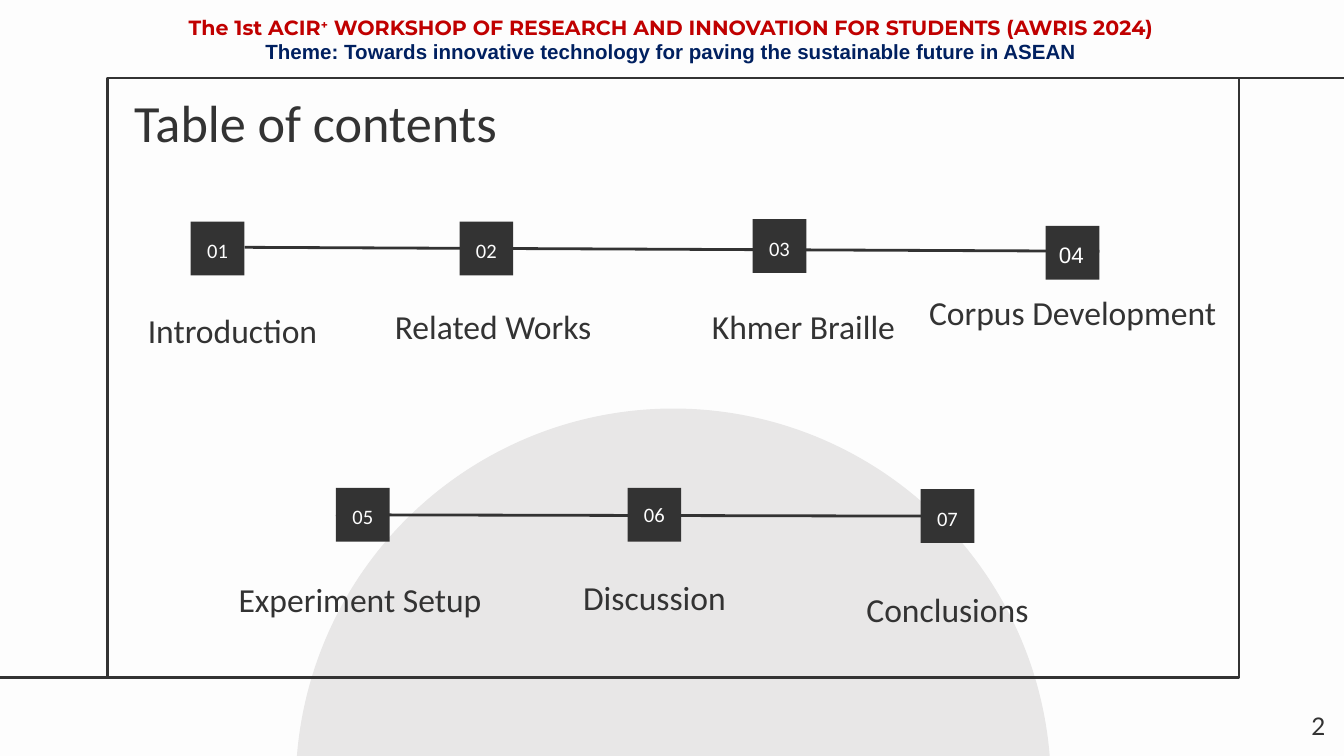
"""Build a table of contents slide with seven numbered topics on two timelines."""
from dataclasses import dataclass

from lxml.etree import SubElement
from pptx import Presentation
from pptx.dml.color import RGBColor
from pptx.enum.shapes import MSO_CONNECTOR, MSO_SHAPE
from pptx.enum.text import MSO_ANCHOR, PP_ALIGN
from pptx.oxml.ns import qn
from pptx.shapes.autoshape import Shape
from pptx.slide import Slide
from pptx.util import Pt


@dataclass(frozen=True)
class Theme:
    ink: str = "333333"
    paper: str = "FDFDFD"
    white: str = "FFFFFF"
    circle: str = "E8E7E7"
    red: str = "C00000"
    navy: str = "002060"
    body_font: str = "Calibri"
    plain_font: str = "Arial"
    page_font: str = "Lato"
    header_font: str = "Montserrat"
    title_size: float = 28
    label_size: float = 18
    page_size: float = 13
    large_marker_size: float = 12
    small_size: float = 11
    line_width: float = 1.5
    inset: float = 7.2
    marker_side: float = 28.8


THEME = Theme()


@dataclass(frozen=True)
class Box:
    left: float
    top: float
    width: float
    height: float

    def lengths(self) -> tuple[Pt, ...]:
        return tuple(Pt(value) for value in (self.left, self.top, self.width, self.height))


@dataclass(frozen=True)
class Segment:
    start_x: float
    start_y: float
    end_x: float
    end_y: float


@dataclass(frozen=True)
class TextRun:
    text: str
    size: float = THEME.small_size
    font: str = THEME.body_font
    color: str = THEME.ink
    bold: bool = False
    baseline: int = 0


@dataclass(frozen=True)
class Line:
    runs: tuple[TextRun, ...]
    alignment: PP_ALIGN = PP_ALIGN.CENTER
    spacing: float = 1.0


@dataclass(frozen=True)
class Topic:
    label: str
    marker_left: float
    marker_top: float
    label_left: float
    label_top: float
    label_width: float = 181.4
    spacing: float = 1.15
    marker_size: float = THEME.small_size
    marker_font: str = THEME.body_font
    marker_color: str = THEME.paper
    marker_alignment: PP_ALIGN = PP_ALIGN.CENTER


TOPICS = (
    Topic("Introduction", 102.2, 118.8, 52.6, 155.5, label_width=144),
    Topic("Related Works", 246.2, 118.8, 173.5, 153.4),
    Topic("Khmer Braille", 403.2, 117.4, 339.8, 153.4),
    Topic("Corpus Development ", 560.2, 121, 486, 146.2,
          marker_size=THEME.large_marker_size, marker_font=THEME.plain_font,
          marker_color=THEME.white, marker_alignment=PP_ALIGN.LEFT),
    Topic("Experiment Setup", 180, 261.4, 102.2, 299.5),
    Topic("Discussion", 336.2, 261.4, 259.9, 301.7, spacing=1.0),
    Topic("Conclusions", 493.2, 262.1, 416.9, 305.3),
)
FRAME_LINES = (Segment(720, 41.8, 663.8, 41.8), Segment(58.3, 362.9, 0, 362.9))
TIMELINES = (Segment(131, 132.5, 589, 134.6), Segment(494.6, 276.5, 180, 275.8))
HEADER = (
    Line((
        TextRun("The 1st ACIR", font=THEME.header_font, color=THEME.red, bold=True),
        TextRun("+", font=THEME.header_font, color=THEME.red, bold=True, baseline=30000),
        TextRun(" WORKSHOP OF RESEARCH AND INNOVATION FOR STUDENTS (AWRIS 2024)",
                font=THEME.header_font, color=THEME.red, bold=True),
    )),
    Line((TextRun("Theme: Towards innovative technology for paving the sustainable future in ASEAN",
                  font=THEME.plain_font, color=THEME.navy, bold=True),)),
)


def write_text(shape: Shape, lines: tuple[Line, ...], anchor: MSO_ANCHOR = MSO_ANCHOR.TOP,
               vertical_inset: float = THEME.inset) -> None:
    frame = shape.text_frame
    frame_format = {
        "word_wrap": True,
        "vertical_anchor": anchor,
        "margin_left": Pt(THEME.inset),
        "margin_right": Pt(THEME.inset),
        "margin_top": Pt(vertical_inset),
        "margin_bottom": Pt(vertical_inset),
    }
    for name, value in frame_format.items():
        setattr(frame, name, value)
    for index, line in enumerate(lines):
        paragraph = frame.add_paragraph() if index else frame.paragraphs[0]
        paragraph.alignment = line.alignment
        paragraph.line_spacing = line.spacing
        for text_run in line.runs:
            run = paragraph.add_run()
            run.text = text_run.text
            font_format = {"name": text_run.font, "size": Pt(text_run.size), "bold": text_run.bold}
            for name, value in font_format.items():
                setattr(run.font, name, value)
            run.font.color.rgb = RGBColor.from_string(text_run.color)
            if text_run.baseline:
                run.font._element.set("baseline", str(text_run.baseline))


def add_text(slide: Slide, box: Box, *lines: Line, vertical_inset: float = THEME.inset) -> None:
    write_text(slide.shapes.add_textbox(*box.lengths()), lines, vertical_inset=vertical_inset)


def add_shape(slide: Slide, kind: MSO_SHAPE, box: Box, fill: str = "", outline: str = "") -> Shape:
    shape = slide.shapes.add_shape(kind, *box.lengths())
    shape.shadow.inherit = False
    if fill:
        shape.fill.solid()
        shape.fill.fore_color.rgb = RGBColor.from_string(fill)
    else:
        shape.fill.background()
    if outline:
        shape.line.color.rgb = RGBColor.from_string(outline)
        shape.line.width = Pt(THEME.line_width)
    else:
        shape.line.fill.background()
    return shape


def add_line(slide: Slide, segment: Segment) -> None:
    ends = (segment.start_x, segment.start_y, segment.end_x, segment.end_y)
    connector = slide.shapes.add_connector(MSO_CONNECTOR.STRAIGHT, *(Pt(end) for end in ends))
    connector.line.color.rgb = RGBColor.from_string(THEME.ink)
    connector.line.width = Pt(THEME.line_width)
    SubElement(connector._element.spPr, qn("a:effectLst"))


def add_topic(slide: Slide, number: int, topic: Topic) -> None:
    side = THEME.marker_side
    marker = add_shape(slide, MSO_SHAPE.RECTANGLE,
                       Box(topic.marker_left, topic.marker_top, side, side), THEME.ink)
    number_run = TextRun(f"{number:02}", topic.marker_size, topic.marker_font, topic.marker_color)
    write_text(marker, (Line((number_run,), topic.marker_alignment, topic.spacing),),
               MSO_ANCHOR.MIDDLE)
    add_text(slide, Box(topic.label_left, topic.label_top, topic.label_width, 30.2),
             Line((TextRun(topic.label, THEME.label_size),), spacing=topic.spacing))


def main() -> None:
    presentation = Presentation()
    presentation.slide_width, presentation.slide_height = Pt(720), Pt(405)
    slide = presentation.slides.add_slide(presentation.slide_layouts[6])
    slide.background.fill.solid()
    slide.background.fill.fore_color.rgb = RGBColor.from_string(THEME.paper)
    add_shape(slide, MSO_SHAPE.OVAL, Box(158.4, 218.9, 404.6, 404.6), THEME.circle)
    add_shape(slide, MSO_SHAPE.RECTANGLE, Box(57.6, 41.8, 606.2, 321.1), outline=THEME.ink)
    for segment in FRAME_LINES + TIMELINES:
        add_line(slide, segment)
    add_text(slide, Box(64.8, 41, 460.8, 59.8),
             Line((TextRun("Table of contents", THEME.title_size),), PP_ALIGN.LEFT))
    add_text(slide, Box(673.9, 373.7, 43.2, 31),
             Line((TextRun("2", THEME.page_size, THEME.page_font),), PP_ALIGN.RIGHT))
    for number, topic in enumerate(TOPICS, 1):
        add_topic(slide, number, topic)
    add_text(slide, Box(55.4, 4.3, 608.4, 35.3), *HEADER, vertical_inset=3.6)
    presentation.save("out.pptx")


if __name__ == "__main__":
    main()
